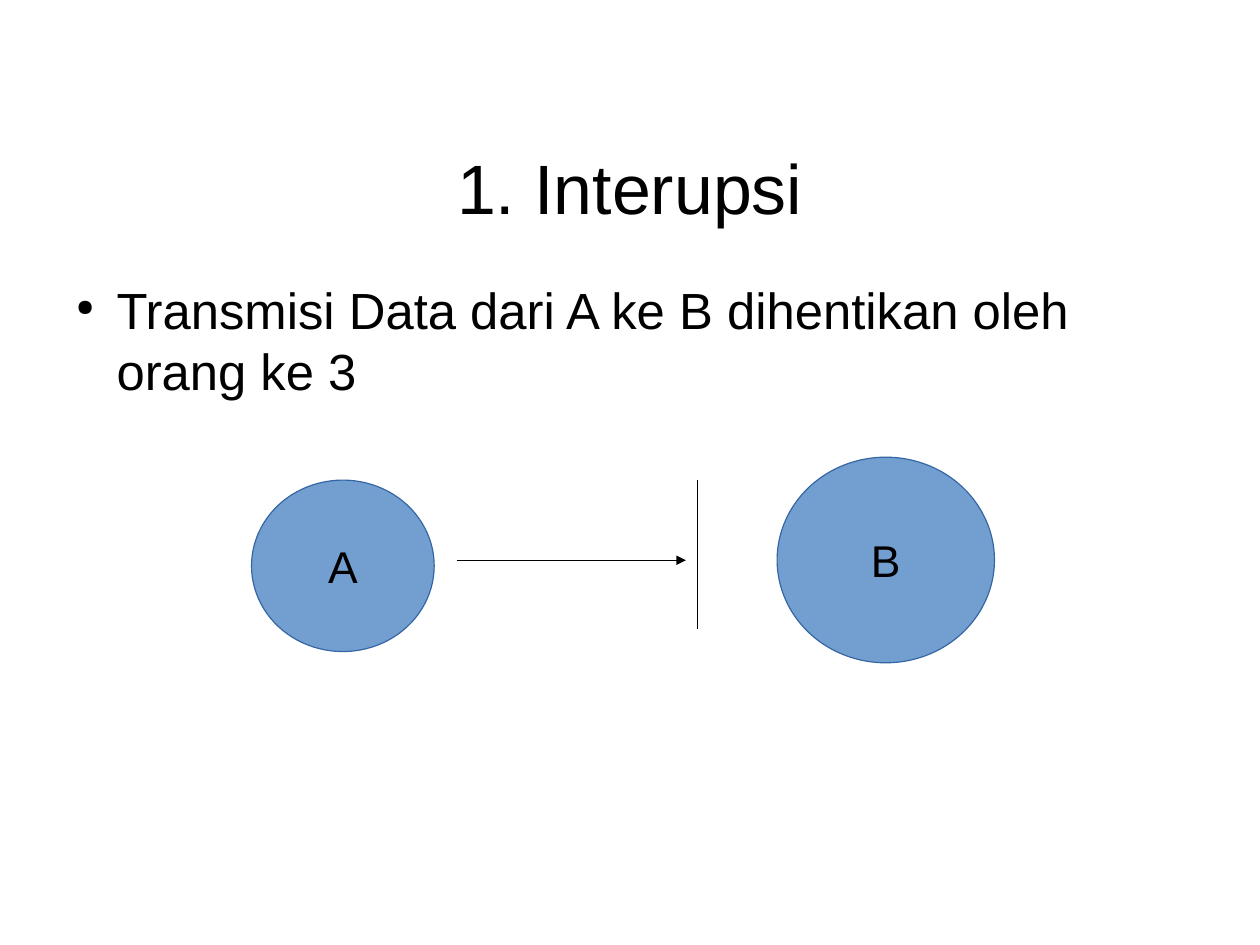
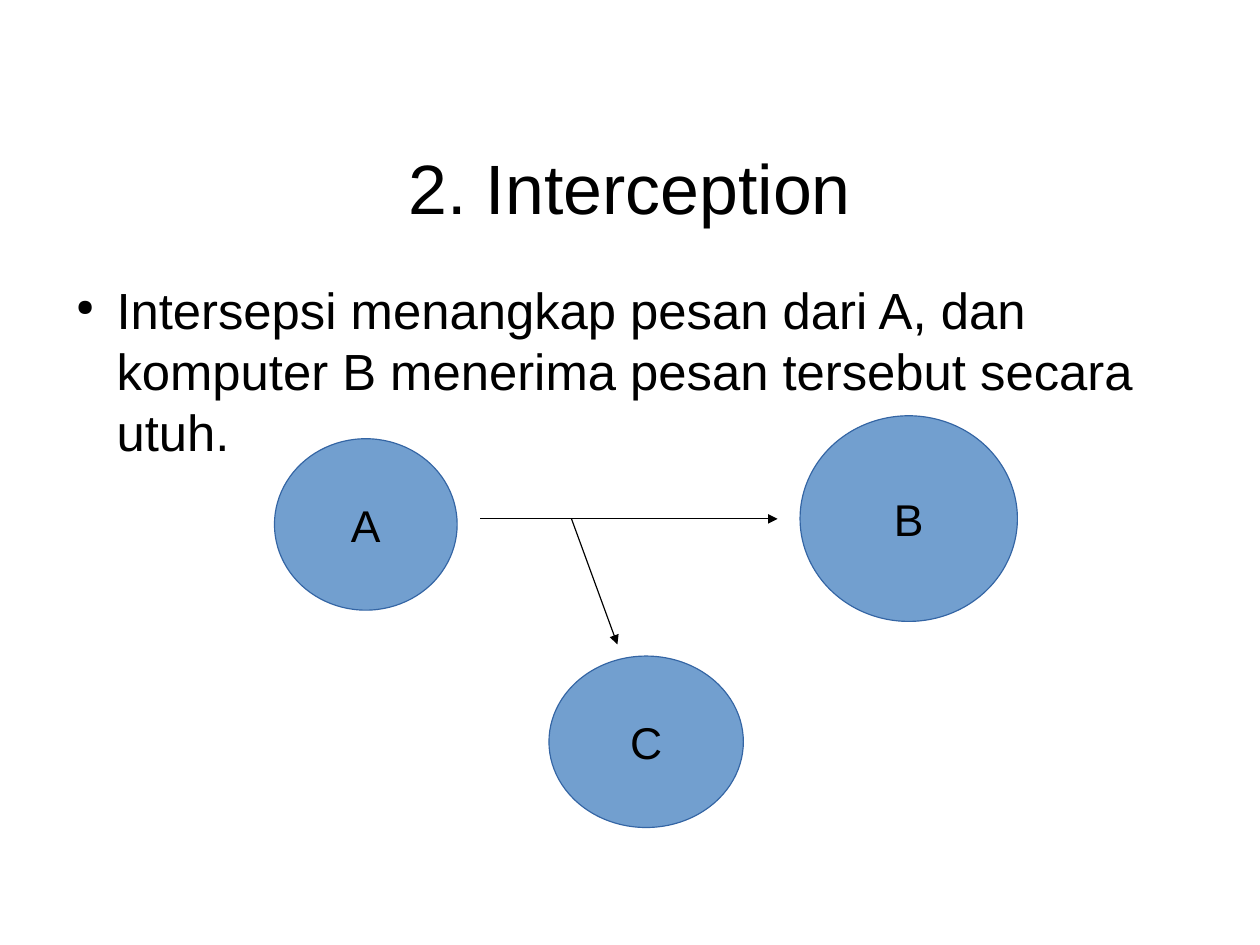
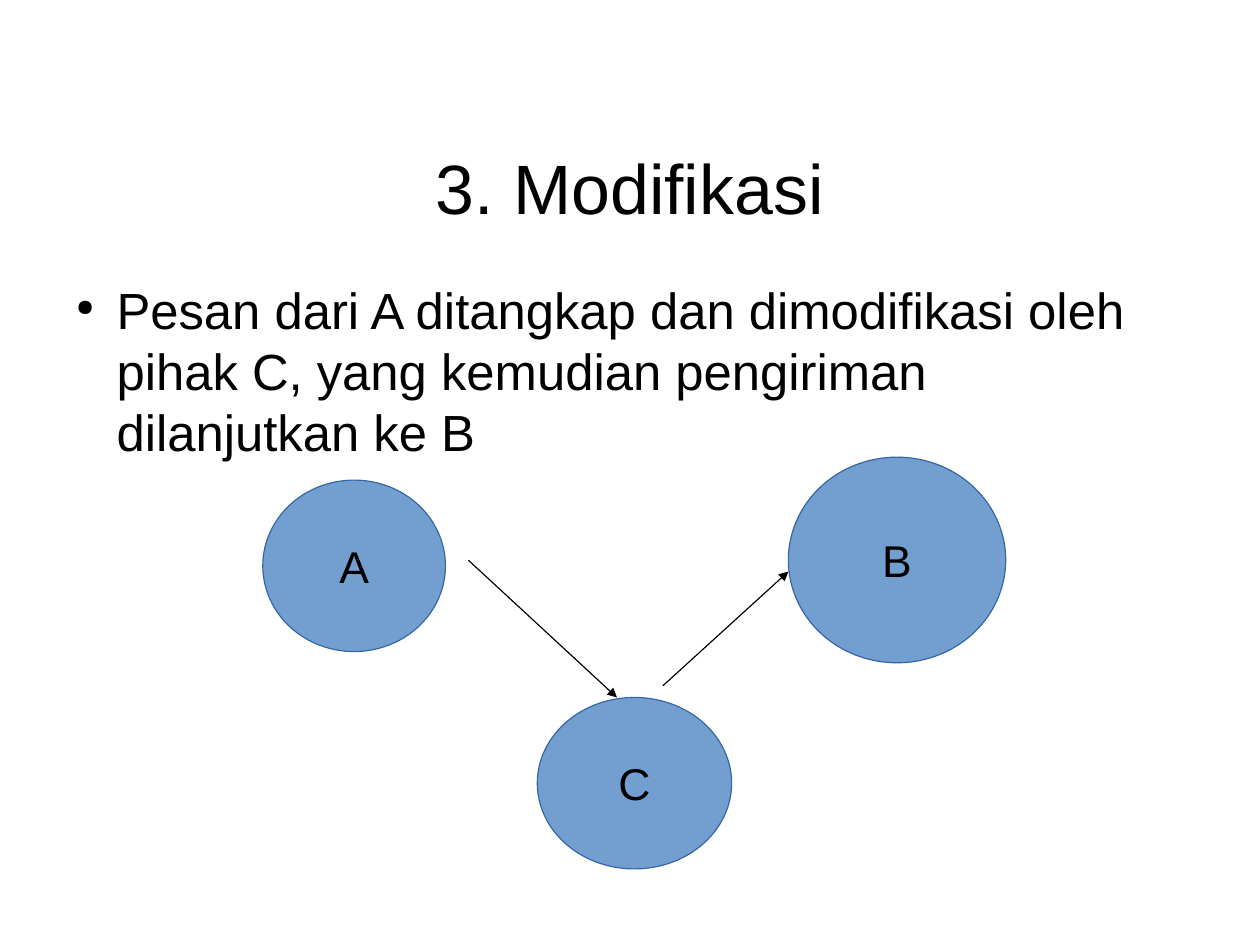
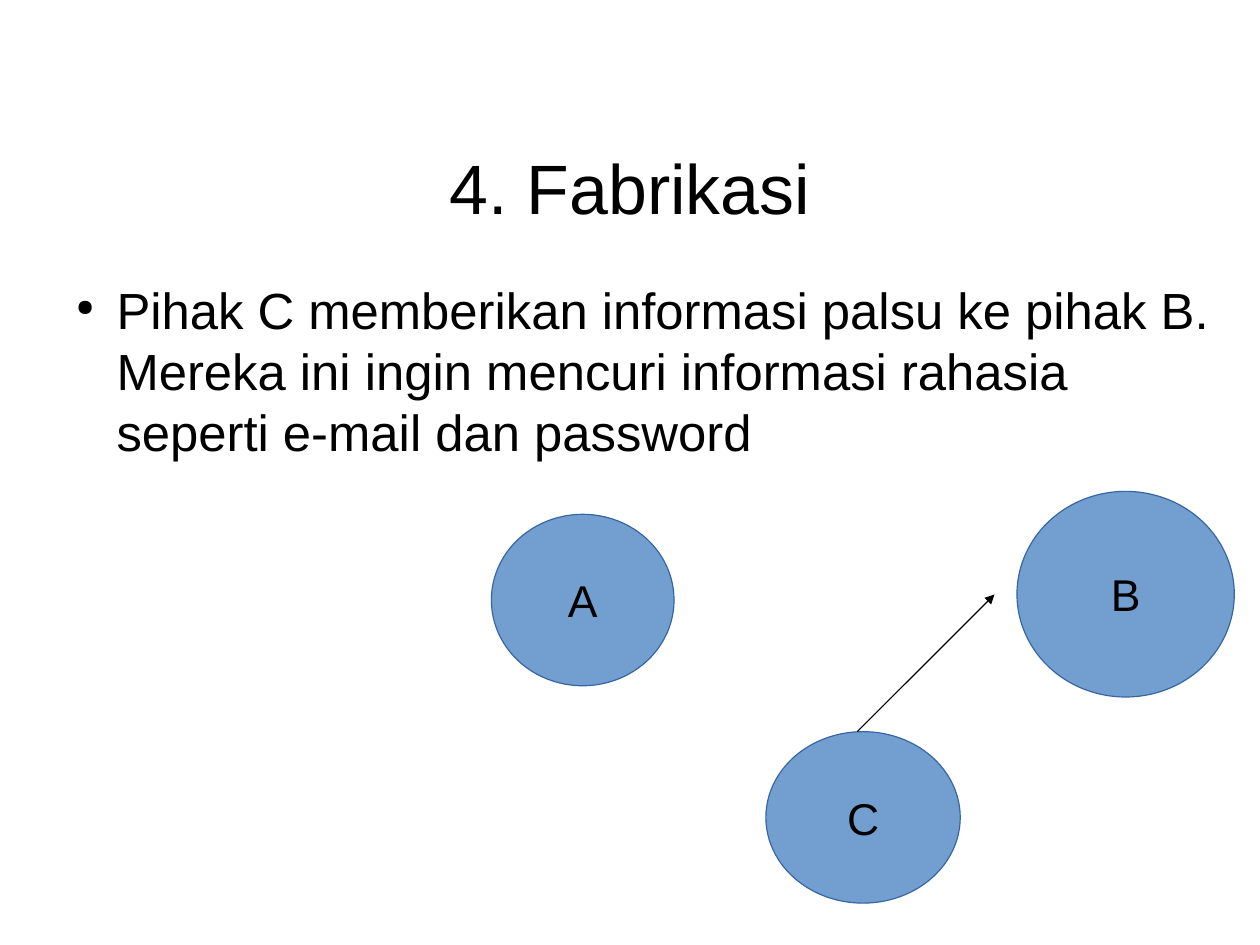
from dataclasses import dataclass
from typing import NamedTuple

from lxml import etree
from pptx import Presentation
from pptx import util as u
from pptx.dml.color import RGBColor
from pptx.enum import shapes, text
from pptx.oxml import ns


@dataclass(frozen=True)
class Theme:
    font: str = "Arial"
    ink: RGBColor = RGBColor(0, 0, 0)
    fill: RGBColor = RGBColor(0x72, 0x9F, 0xCF)
    edge: RGBColor = RGBColor(0x34, 0x65, 0xA4)
    head: u.Pt = u.Pt(44)
    body: u.Pt = u.Pt(32)
    label: u.Pt = u.Pt(28)
    line: u.Pt = u.Pt(0.75)


class Node(NamedTuple):
    x: float
    y: float
    wide: float
    high: float


class Link(NamedTuple):
    x1: float
    y1: float
    x2: float
    y2: float
    arrow: bool = True


@dataclass(frozen=True)
class Page:
    title: str
    body: str
    left: float
    top: float
    nodes: str
    links: tuple[Link, ...]
    wide: float = 25.2
    high: float = 12.19


THEME = Theme()
NODES = {
    "A": Node(0, 0, 4.06, 3.81),
    "B": Node(11.68, -0.51, 4.83, 4.57),
    "C": Node(6.1, 4.83, 4.32, 3.81),
}
PAGES = (
    Page(
        "1. Interupsi",
        "Transmisi Data dari A ke B dihentikan oleh orang ke 3",
        5.59, 10.67, "AB",
        (Link(4.57, 1.78, 9.65, 1.78), Link(9.91, 0, 9.91, 3.3, False)),
    ),
    Page(
        "2. Interception",
        "Intersepsi menangkap pesan dari A, dan komputer B menerima pesan tersebut secara utuh.",
        6.1, 9.75, "ABC",
        (Link(4.57, 1.78, 11.18, 1.78), Link(6.6, 1.78, 7.62, 4.57)),
    ),
    Page(
        "3. Modifikasi",
        "Pesan dari A ditangkap dan dimodifikasi oleh pihak C, yang kemudian pengiriman dilanjutkan ke B",
        5.84, 10.67, "ABC",
        (Link(4.57, 1.78, 7.87, 4.83), Link(8.89, 4.57, 11.68, 2.03)),
        24.5, 3.2,
    ),
    Page(
        "4. Fabrikasi",
        "Pihak C memberikan informasi palsu ke pihak B. Mereka ini ingin mencuri informasi rahasia seperti e-mail dan password",
        10.92, 11.43, "ABC",
        (Link(8.13, 4.83, 11.18, 1.78),),
        25.53, 4.22,
    ),
)


def add_run(para, words: str, size: u.Pt) -> None:
    run = para.add_run()
    run.text = words
    run.font.name = THEME.font
    run.font.size = size
    run.font.color.rgb = THEME.ink


def set_frame(frame, anchor, wrap: bool = True, side: float = 0, end: float = 0) -> None:
    frame.auto_size = text.MSO_AUTO_SIZE.NONE
    frame.word_wrap = wrap
    frame.vertical_anchor = anchor
    frame.margin_left = frame.margin_right = u.Cm(side)
    frame.margin_top = frame.margin_bottom = u.Cm(end)


def add_title(slide, words: str) -> None:
    title = slide.shapes.title
    title.left, title.top = u.Cm(1.4), u.Cm(2.69)
    title.width, title.height = u.Cm(25.2), u.Cm(2.9)
    set_frame(title.text_frame, text.MSO_ANCHOR.MIDDLE)
    para = title.text_frame.paragraphs[0]
    para.alignment = text.PP_ALIGN.CENTER
    add_run(para, words, THEME.head)


def add_body(slide, page: Page) -> None:
    box = slide.shapes.add_textbox(
        u.Cm(1.4), u.Cm(6.2), u.Cm(page.wide), u.Cm(page.high)
    )
    set_frame(box.text_frame, text.MSO_ANCHOR.TOP)
    para = box.text_frame.paragraphs[0]
    para.space_before = u.Pt(14.2)
    add_run(para, page.body, THEME.body)
    props = para._p.get_or_add_pPr()
    props.set("marL", str(u.Cm(1.19)))
    props.set("indent", str(u.Cm(-0.9)))
    tint = etree.SubElement(props, ns.qn("a:buClr"))
    etree.SubElement(tint, ns.qn("a:srgbClr"), val=str(THEME.ink))
    etree.SubElement(props, ns.qn("a:buSzPct"), val="45000")
    etree.SubElement(props, ns.qn("a:buChar"), char="●")


def add_node(group, page: Page, name: str) -> None:
    node = NODES[name]
    oval = group.shapes.add_shape(
        shapes.MSO_SHAPE.OVAL,
        u.Cm(page.left + node.x), u.Cm(page.top + node.y),
        u.Cm(node.wide), u.Cm(node.high),
    )
    oval.shadow.inherit = False
    oval.fill.solid()
    oval.fill.fore_color.rgb = THEME.fill
    oval.line.color.rgb = THEME.edge
    oval.line.width = THEME.line
    set_frame(oval.text_frame, text.MSO_ANCHOR.MIDDLE, False, 0.25, 0.13)
    para = oval.text_frame.paragraphs[0]
    para.alignment = text.PP_ALIGN.CENTER
    add_run(para, name, THEME.label)


def add_link(group, page: Page, link: Link) -> None:
    line = group.shapes.add_connector(
        shapes.MSO_CONNECTOR.STRAIGHT,
        u.Cm(page.left + link.x1), u.Cm(page.top + link.y1),
        u.Cm(page.left + link.x2), u.Cm(page.top + link.y2),
    )
    line.line.color.rgb = THEME.ink
    line.line.width = THEME.line
    if link.arrow:
        etree.SubElement(line.line._get_or_add_ln(), ns.qn("a:tailEnd"), type="triangle")
    etree.SubElement(line._element.spPr, ns.qn("a:effectLst"))


def add_page(deck, page: Page) -> None:
    slide = deck.slides.add_slide(deck.slide_layouts[5])
    add_title(slide, page.title)
    add_body(slide, page)
    group = slide.shapes.add_group_shape()
    for name in page.nodes:
        add_node(group, page, name)
    for link in page.links:
        add_link(group, page, link)


def main() -> None:
    deck = Presentation()
    deck.slide_width, deck.slide_height = u.Cm(28), u.Cm(21)
    for page in PAGES:
        add_page(deck, page)
    deck.save("out.pptx")


if __name__ == "__main__":
    main()
